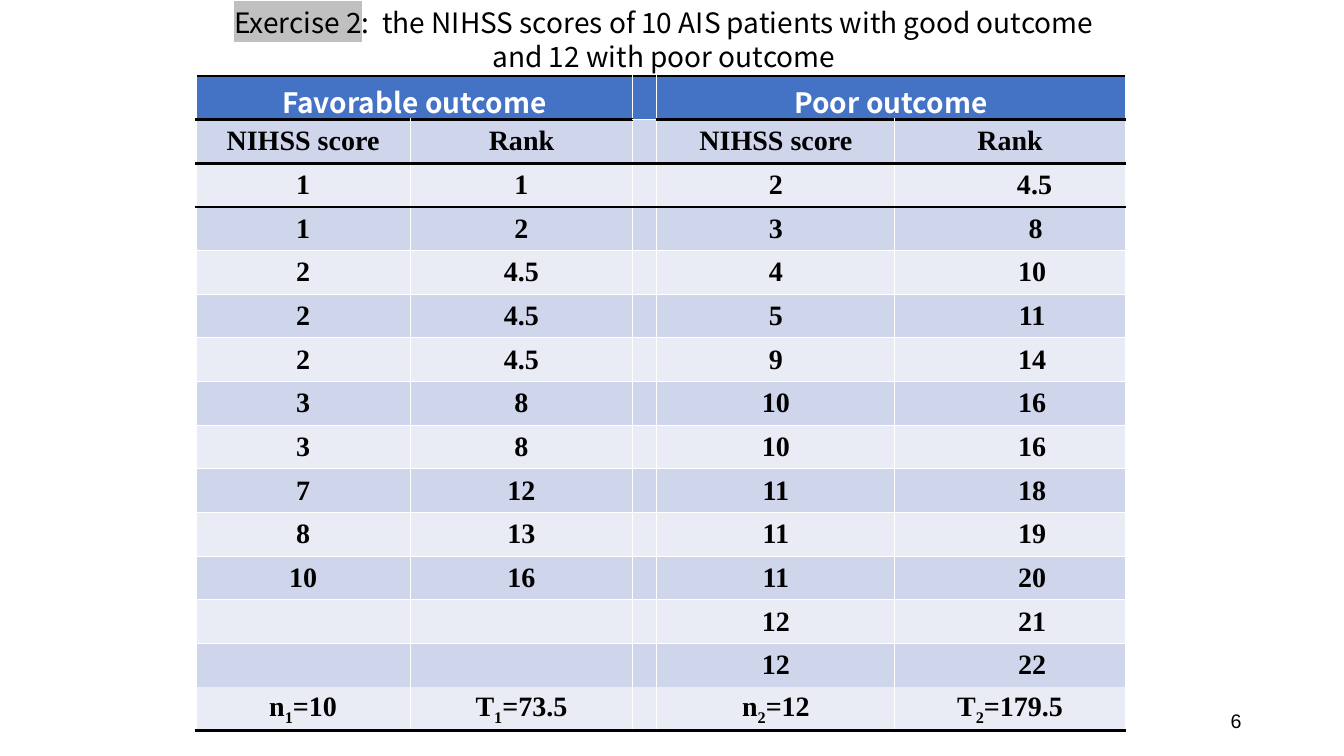
"""Build a slide with a table of NIHSS scores and ranks for two outcome groups."""
from dataclasses import dataclass
from typing import Optional

import lxml.etree
import pptx
import pptx.dml.color
import pptx.enum.text
import pptx.oxml.ns
import pptx.slide
import pptx.table
import pptx.text.text
import pptx.util

Pt = pptx.util.Pt
RGBColor = pptx.dml.color.RGBColor
Align = pptx.enum.text.PP_ALIGN
Anchor = pptx.enum.text.MSO_ANCHOR
qn = pptx.oxml.ns.qn

BLACK = RGBColor(0x00, 0x00, 0x00)
WHITE = RGBColor(0xFF, 0xFF, 0xFF)
GREY = RGBColor(0xC0, 0xC0, 0xC0)
HEADER_BLUE = RGBColor(0x44, 0x72, 0xC4)
BAND_DARK = RGBColor(0xCF, 0xD5, 0xEA)
BAND_LIGHT = RGBColor(0xE9, 0xEB, 0xF5)

SANS = "Noto Sans CJK SC"
SERIF = "Times New Roman"

COLUMN_WIDTHS = (153, 159, 17, 170, 164.5)
ROW_HEIGHT = 31.2
SPACER = 2
RANK_INDENTS = {"4.5": 35, "8": 36.5}
DEFAULT_RANK_INDENT = 31.5


@dataclass(frozen=True)
class Border:
    color: RGBColor
    width: float


RULE = Border(BLACK, 2.25)
GRID = Border(WHITE, 1)


@dataclass(frozen=True)
class Group:
    title: str
    first_column: int
    scores: tuple[str, ...]
    ranks: tuple[str, ...]
    count: tuple[str, str, str]
    rank_sum: tuple[str, str, str]
    indented: bool


GROUPS = (
    Group("Favorable outcome", 0,
          ("1", "1", "2", "2", "2", "3", "3", "7", "8", "10"),
          ("1", "2", "4.5", "4.5", "4.5", "8", "8", "12", "13", "16"),
          ("n", "1", "=10"), ("T", "1", "=73.5"), False),
    Group("Poor outcome", 3,
          ("2", "3", "4", "5", "9", "10", "10", "11", "11", "11", "12", "12"),
          ("4.5", "8", "10", "11", "14", "16", "16", "18", "19", "20", "21", "22"),
          ("n", "2", "=12"), ("T", "2", "=179.5"), True),
)
ROW_COUNT = max(len(group.scores) for group in GROUPS) + 3


def style_paragraph(paragraph: pptx.text.text._Paragraph, size: float, name: str,
                    color: RGBColor, bold: bool, alignment: Align) -> None:
    paragraph.alignment = alignment
    font = paragraph.font
    font.size, font.name, font.bold = Pt(size), name, bold
    font.color.rgb = color


def add_text_box(slide: pptx.slide.Slide, left: float, top: float, width: float,
                 height: float) -> pptx.text.text.TextFrame:
    frame = slide.shapes.add_textbox(Pt(left), Pt(top), Pt(width), Pt(height)).text_frame
    frame.word_wrap = True
    return frame


def add_title(slide: pptx.slide.Slide) -> None:
    frame = add_text_box(slide, 145.5, 0.7, 657.5, 55.5)
    frame.auto_size = pptx.enum.text.MSO_AUTO_SIZE.SHAPE_TO_FIT_TEXT
    paragraph = frame.paragraphs[0]
    style_paragraph(paragraph, 20, SANS, BLACK, False, Align.CENTER)
    paragraph.line_spacing = Pt(24)
    label = paragraph.add_run()
    label.text = "Exercise 2"
    highlight = lxml.etree.SubElement(label._r.get_or_add_rPr(), qn("a:highlight"))
    lxml.etree.SubElement(highlight, qn("a:srgbClr"), val=str(GREY))
    paragraph.add_run().text = (
        ":  the NIHSS scores of 10 AIS patients with good outcome and 12 with poor outcome")


def add_slide_number(slide: pptx.slide.Slide) -> None:
    frame = add_text_box(slide, 678, 500.5, 216, 28.8)
    frame.vertical_anchor = Anchor.MIDDLE
    paragraph = frame.paragraphs[0]
    style_paragraph(paragraph, 14, "Arial", BLACK, False, Align.RIGHT)
    paragraph.add_run().text = "6"


def horizontal_border(line: int, column: int) -> Optional[Border]:
    if line == ROW_COUNT - 1:
        return None
    if line in (0, 2, 3, ROW_COUNT) or (line == 1 and column != SPACER):
        return RULE
    return GRID


def draw_border(cell: pptx.table._Cell, side: str, border: Optional[Border]) -> None:
    width = Pt(border.width) if border else 0
    line = lxml.etree.SubElement(cell._tc.get_or_add_tcPr(), qn(f"a:ln{side}"),
                                 w=str(int(width)))
    if border is None:
        lxml.etree.SubElement(line, qn("a:noFill"))
        return
    fill = lxml.etree.SubElement(line, qn("a:solidFill"))
    lxml.etree.SubElement(fill, qn("a:srgbClr"), val=str(border.color))


def format_cell(cell: pptx.table._Cell, row: int, column: int) -> None:
    draw_border(cell, "L", GRID)
    draw_border(cell, "R", GRID)
    draw_border(cell, "T", horizontal_border(row, column))
    draw_border(cell, "B", horizontal_border(row + 1, column))
    cell.fill.solid()
    band = BAND_DARK if row % 2 else BAND_LIGHT
    cell.fill.fore_color.rgb = band if row else HEADER_BLUE
    if row:
        cell.vertical_anchor = Anchor.MIDDLE
        cell.margin_left = cell.margin_right = Pt(5)
        cell.margin_top = cell.margin_bottom = Pt(0)


def write_cell(cell: pptx.table._Cell, parts: tuple[str, ...], name: str = SERIF,
               color: RGBColor = BLACK, indent: float = 0) -> None:
    paragraph = cell.text_frame.paragraphs[0]
    style_paragraph(paragraph, 20, name, color, True, Align.CENTER)
    if indent:
        paragraph._p.get_or_add_pPr().set("indent", str(int(Pt(indent))))
    for index, part in enumerate(parts):
        run = paragraph.add_run()
        run.text = part
        if index == 1:
            run._r.get_or_add_rPr().set("baseline", "-25000")


def fill_group(table: pptx.table.Table, group: Group) -> None:
    left, right = group.first_column, group.first_column + 1
    header = table.cell(0, left)
    header.merge(table.cell(0, right))
    write_cell(header, (group.title,), SANS, WHITE)
    write_cell(table.cell(1, left), ("NIHSS score",))
    write_cell(table.cell(1, right), ("Rank",))
    for row, (score, rank) in enumerate(zip(group.scores, group.ranks), start=2):
        indent = RANK_INDENTS.get(rank, DEFAULT_RANK_INDENT) if group.indented else 0
        write_cell(table.cell(row, left), (score,))
        write_cell(table.cell(row, right), (rank,), indent=indent)
    write_cell(table.cell(ROW_COUNT - 1, left), group.count)
    write_cell(table.cell(ROW_COUNT - 1, right), group.rank_sum)


def add_score_table(slide: pptx.slide.Slide) -> None:
    table = slide.shapes.add_table(
        ROW_COUNT, len(COLUMN_WIDTHS), Pt(140), Pt(54.2),
        Pt(sum(COLUMN_WIDTHS)), Pt(ROW_HEIGHT * ROW_COUNT)).table
    table.first_row = table.horz_banding = False
    for column, width in zip(table.columns, COLUMN_WIDTHS):
        column.width = Pt(width)
    for row_index, row in enumerate(table.rows):
        row.height = Pt(ROW_HEIGHT)
        for column_index, cell in enumerate(row.cells):
            format_cell(cell, row_index, column_index)
    for group in GROUPS:
        fill_group(table, group)


def main() -> None:
    presentation = pptx.Presentation()
    presentation.slide_width, presentation.slide_height = Pt(960), Pt(540)
    slide = presentation.slides.add_slide(presentation.slide_layouts[6])
    add_title(slide)
    add_score_table(slide)
    add_slide_number(slide)
    presentation.save("out.pptx")


if __name__ == "__main__":
    main()
